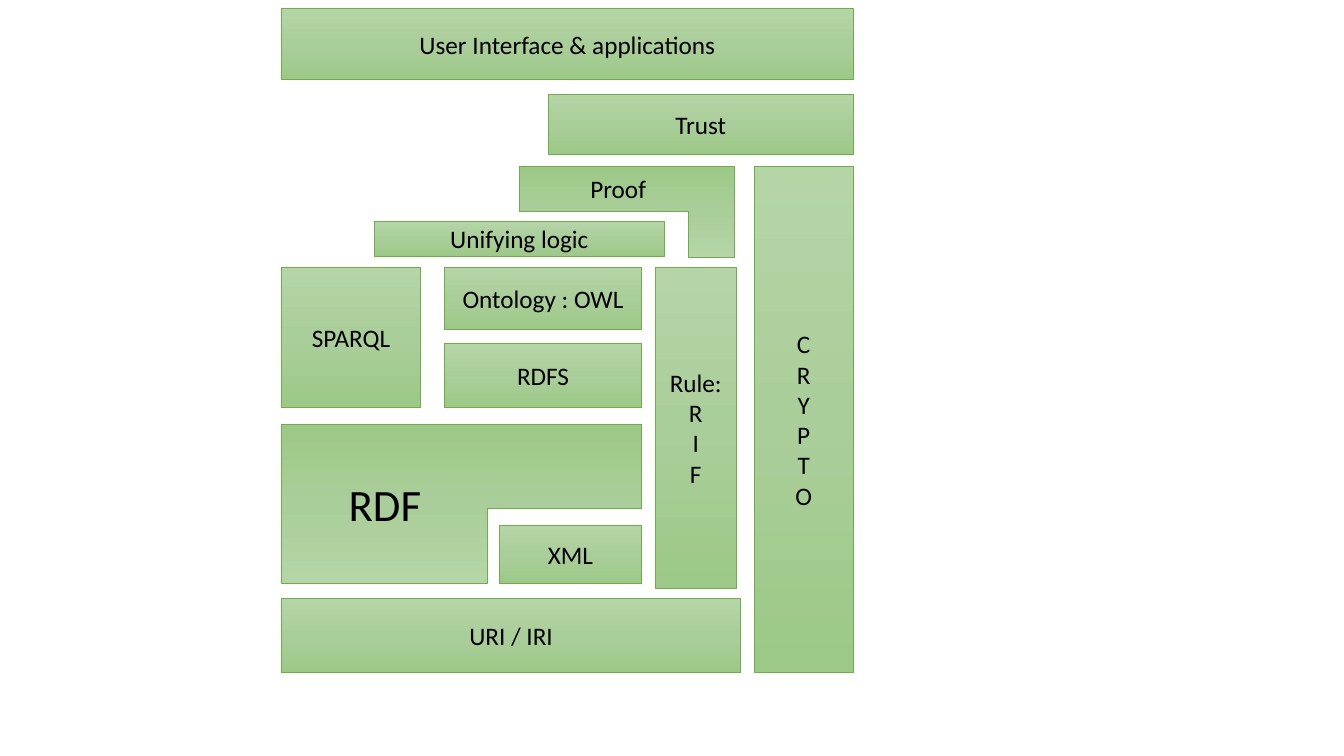
"""Draw the Semantic Web layer stack as one slide."""
from copy import deepcopy
from dataclasses import dataclass

from lxml.etree import SubElement
from pptx import Presentation
from pptx.dml.color import RGBColor
from pptx.enum.shapes import MSO_SHAPE as Preset
from pptx.enum.text import MSO_ANCHOR as Anchor, PP_ALIGN as Align
from pptx.oxml.ns import qn
from pptx.shapes.autoshape import Shape
from pptx.slide import Slide
from pptx.text.text import TextFrame
from pptx.util import Pt

COLORS = {"light": "B5D5A7", "middle": "AACE9A", "dark": "9CC987",
          "border": "70AD47", "text": "000000"}
GRADIENT = ((0, "light"), (0.5, "middle"), (1, "dark"))

LEFT, RIGHT = 201, 609.5
CORE_LEFT, CORE_RIGHT = 317.5, 458.3
PROOF_TOP, QUERY_TOP, QUERY_BOTTOM = 118.8, 190.8, 291
RDF_BOTTOM, STACK_BOTTOM = 416.9, 480.4


@dataclass(frozen=True)
class Layer:
    """A layer of the stack, given by its edges in points."""
    left: float
    top: float
    right: float
    bottom: float
    text: str = ""
    corner: tuple[float, ...] = ()
    flipped: bool = False


@dataclass(frozen=True)
class Label:
    """Free text laid over an L-shaped layer."""
    left: float
    top: float
    width: float
    height: float
    text: str
    size: float


LAYERS = (
    Layer(LEFT, 427.6, 529.2, STACK_BOTTOM, "URI / IRI"),
    Layer(538.6, PROOF_TOP, RIGHT, STACK_BOTTOM, "\n".join("CRYPTO")),
    Layer(LEFT, 303, CORE_RIGHT, RDF_BOTTOM, corner=(0.53, 1.29), flipped=True),
    Layer(468, QUERY_TOP, 526, 420.3, "Rule:\nR\vI\nF"),
    Layer(356.5, 375.2, CORE_RIGHT, RDF_BOTTOM, "XML"),
    Layer(LEFT, QUERY_TOP, 300.4, QUERY_BOTTOM, "SPARQL"),
    Layer(CORE_LEFT, 245.4, CORE_RIGHT, QUERY_BOTTOM, "RDFS"),
    Layer(CORE_LEFT, QUERY_TOP, CORE_RIGHT, 235.4, "Ontology : OWL"),
    Layer(370.8, PROOF_TOP, 524.2, 183.8, corner=(0.5, 0.5)),
    Layer(267.2, 158, 474.8, 183.2, "Unifying logic"),
    Layer(391.5, 67.4, RIGHT, 110.3, "Trust"),
    Layer(LEFT, 6, RIGHT, 56.7, "User Interface & applications"),
)
LABELS = (
    Label(242, 337, 116.6, 46, "RDF", 32),
    Label(414.6, 120.5, 109.4, 29, "Proof", 18),
)


def apply_format(target: object, values: dict) -> None:
    """Set each attribute named in the format values."""
    for name, value in values.items():
        setattr(target, name, value)


def write_text(frame: TextFrame, text: str, size: float, align: Align, anchor: Anchor) -> None:
    """Fill a text frame with uniformly formatted text."""
    apply_format(frame, {"text": text, "word_wrap": True, "vertical_anchor": anchor})
    for para in frame.paragraphs:
        para.alignment = align
        for span in para.runs:
            apply_format(span.font, {"name": "Calibri", "size": Pt(size)})
            span.font.color.rgb = RGBColor.from_string(COLORS["text"])


def make_corner(box: Shape, layer: Layer) -> None:
    """Turn a box into an L-shape hanging from its top edge."""
    box.rotation = 180
    properties = box._element.spPr
    if layer.flipped:
        properties.get_or_add_xfrm().set("flipH", "1")
    geometry = properties.find(qn("a:prstGeom"))
    geometry.set("prst", "corner")
    for number, value in enumerate(layer.corner, 1):
        SubElement(geometry.find(qn("a:avLst")), qn("a:gd"),
                   name=f"adj{number}", fmla=f"val {round(value * 100000)}")


def draw_layer(page: Slide, layer: Layer) -> None:
    """Draw a layer with its gradient, border and text."""
    box = page.shapes.add_shape(
        Preset.RECTANGLE, Pt(layer.left), Pt(layer.top),
        Pt(layer.right - layer.left), Pt(layer.bottom - layer.top))
    box.shadow.inherit = False
    if layer.corner:
        make_corner(box, layer)

    box.fill.gradient()
    box.fill.gradient_angle = 270
    stop_list = box._element.spPr.find(".//" + qn("a:gsLst"))
    stop_list.insert(1, deepcopy(stop_list[0]))
    for stop, (position, color) in zip(box.fill.gradient_stops, GRADIENT):
        stop.position = position
        stop.color.rgb = RGBColor.from_string(COLORS[color])
    box.line.color.rgb = RGBColor.from_string(COLORS["border"])
    box.line.width = Pt(0.5)

    if layer.text:
        write_text(box.text_frame, layer.text, 18, Align.CENTER, Anchor.MIDDLE)


def draw_label(page: Slide, label: Label) -> None:
    """Draw a left-aligned text label."""
    box = page.shapes.add_textbox(
        Pt(label.left), Pt(label.top), Pt(label.width), Pt(label.height))
    write_text(box.text_frame, label.text, label.size, Align.LEFT, Anchor.TOP)


def main() -> None:
    """Build and save the deck."""
    deck = Presentation()
    apply_format(deck, {"slide_width": Pt(960), "slide_height": Pt(540)})
    page = deck.slides.add_slide(deck.slide_layouts[6])
    for layer in LAYERS:
        draw_layer(page, layer)
    for label in LABELS:
        draw_label(page, label)
    deck.save("out.pptx")


main()
